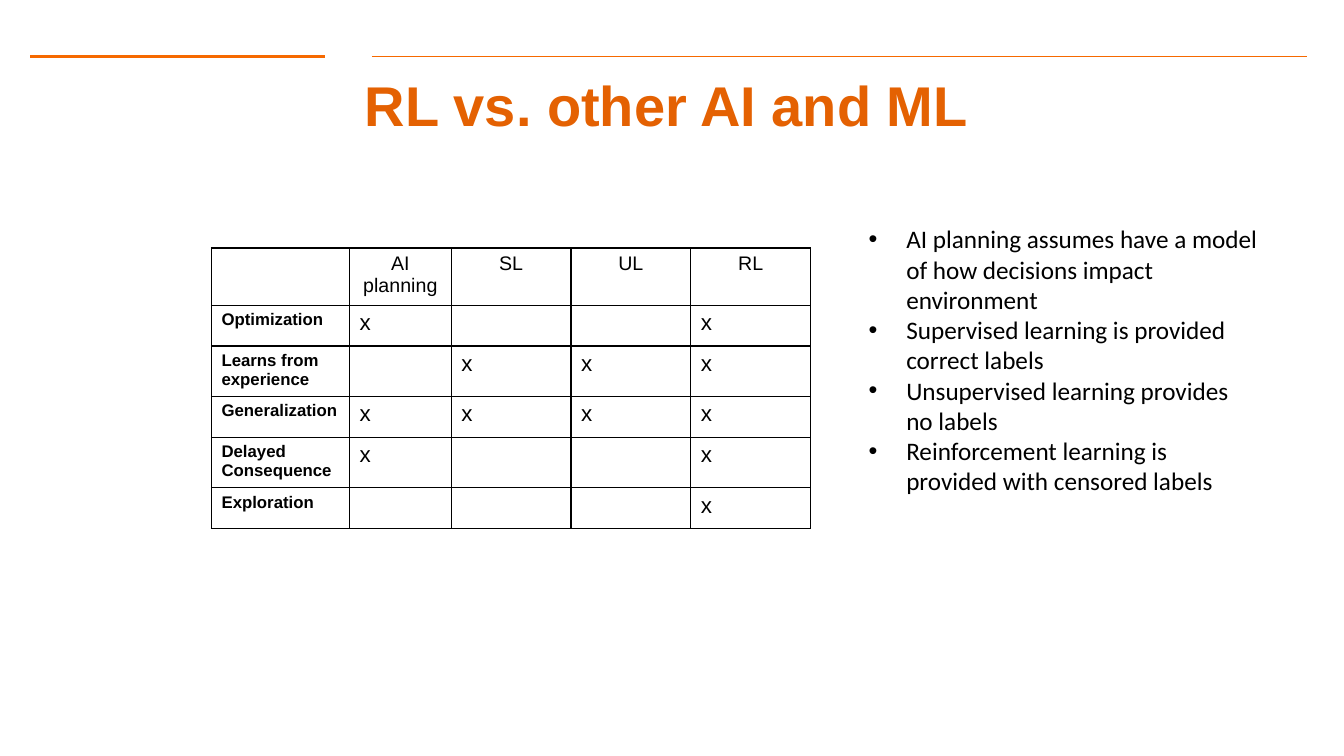
from dataclasses import dataclass

from lxml.etree import SubElement
from pptx import Presentation
from pptx.dml.color import RGBColor
from pptx.enum.shapes import MSO_CONNECTOR
from pptx.enum.text import MSO_ANCHOR, PP_ALIGN
from pptx.oxml import parse_xml
from pptx.oxml.ns import nsdecls, qn
from pptx.util import Cm, Pt


@dataclass(frozen=True)
class Theme:
    """Hold the colours, fonts and type sizes."""
    rule: str = "F66900"
    title: str = "E46102"
    ink: str = "000000"
    sans: str = "Arial"
    body: str = "Calibri"
    big: int = 40
    text: int = 18
    mark: int = 16
    head: int = 14
    label: int = 12


THEME = Theme()
TITLE = "RL vs. other AI and ML"
HEADS = ["AI planning", "SL", "UL", "RL"]
ROWS = [
    ("Optimization", "x  x"),
    ("Learns from experience", " xxx"),
    ("Generalization", "xxxx"),
    ("Delayed Consequence", "x  x"),
    ("Exploration", "   x"),
]
POINTS = [
    "AI planning assumes have a model of how decisions impact environment",
    "Supervised learning is provided correct labels",
    "Unsupervised learning provides no labels",
    "Reinforcement learning is provided with censored labels",
]


def style(para, face, size, color, bold=False):
    """Format every run of a paragraph."""
    for run in para.runs:
        font = run.font
        font.name, font.size, font.bold = face, Pt(size), bold
        font.color.rgb = RGBColor.from_string(color)


def add_text(slide, box):
    """Add a wrapping text box with even margins and return its frame."""
    frame = slide.shapes.add_textbox(*map(Cm, box)).text_frame
    frame.word_wrap = True
    frame.margin_left = frame.margin_right = Cm(0.33)
    frame.margin_top = frame.margin_bottom = Cm(0.33)
    return frame


def add_rules(slide, box):
    """Draw a short thick rule and a long thin one across the box."""
    left, top, width = box
    for start, end, weight in ((0, 7.42, 2), (8.61, width, 1)):
        line = slide.shapes.add_connector(
            MSO_CONNECTOR.STRAIGHT,
            Cm(left + start), Cm(top), Cm(left + end), Cm(top))
        line.line.color.rgb = RGBColor.from_string(THEME.rule)
        line.line.width = Pt(weight)
        SubElement(line._element.spPr, qn("a:effectLst"))


def add_title(slide, box):
    """Write the centred title."""
    frame = add_text(slide, box)
    frame.vertical_anchor = MSO_ANCHOR.MIDDLE
    para = frame.paragraphs[0]
    para.text = TITLE
    para.alignment = PP_ALIGN.CENTER
    style(para, THEME.sans, THEME.big, THEME.title, True)


def add_points(slide, box):
    """Write the bulleted list."""
    frame = add_text(slide, box)
    frame.text = "\n".join(POINTS)
    for para in frame.paragraphs:
        props = para._p.get_or_add_pPr()
        props.set("marL", str(Cm(0.95)))
        props.set("indent", str(-Cm(0.95)))
        SubElement(props, qn("a:buFont"), typeface="Arial")
        SubElement(props, qn("a:buChar"), char="•")
        style(para, THEME.body, THEME.text, THEME.ink)


def add_frame(cell):
    """Clear the fill of a cell and line its four sides."""
    props = cell._tc.get_or_add_tcPr()
    for side in ("lnL", "lnR", "lnT", "lnB"):
        props.append(parse_xml(
            f'<a:{side} {nsdecls("a")} w="{Pt(1)}"><a:solidFill>'
            f'<a:srgbClr val="{THEME.ink}"/></a:solidFill></a:{side}>'))
    cell.fill.background()


def add_grid(slide, box):
    """Build the table that compares the methods."""
    left, top, width, height = box
    first, second = 3.48, 2.56
    rest = (width - first - second) / 3
    data = [["", *HEADS]] + [[name, *marks] for name, marks in ROWS]
    table = slide.shapes.add_table(
        len(data), len(data[0]), *map(Cm, box)).table
    table.first_row = table.horz_banding = False
    for col, wide in zip(table.columns, (first, second, rest, rest, rest)):
        col.width = Cm(wide)
    for r, row in enumerate(data):
        table.rows[r].height = Cm(height / len(data))
        for c, word in enumerate(row):
            cell = table.cell(r, c)
            add_frame(cell)
            if not word.strip():
                continue
            para = cell.text_frame.paragraphs[0]
            para.text = word
            if r == 0:
                para.alignment = PP_ALIGN.CENTER
            size = (THEME.head if r == 0 else
                    THEME.label if c == 0 else THEME.mark)
            style(para, THEME.sans, size, THEME.ink, c == 0)


def main():
    """Build the slide and save it."""
    deck = Presentation()
    deck.slide_width, deck.slide_height = Cm(33.87), Cm(19.05)
    slide = deck.slides.add_slide(deck.slide_layouts[6])
    add_rules(slide, (0.76, 1.42, 32.18))
    add_title(slide, (1.55, 1.93, 30.48, 1.4))
    add_points(slide, (21.56, 5.31, 10.46, 11.81))
    add_grid(slide, (5.33, 6.25, 15.1, 6.18))
    deck.save("out.pptx")


if __name__ == "__main__":
    main()
